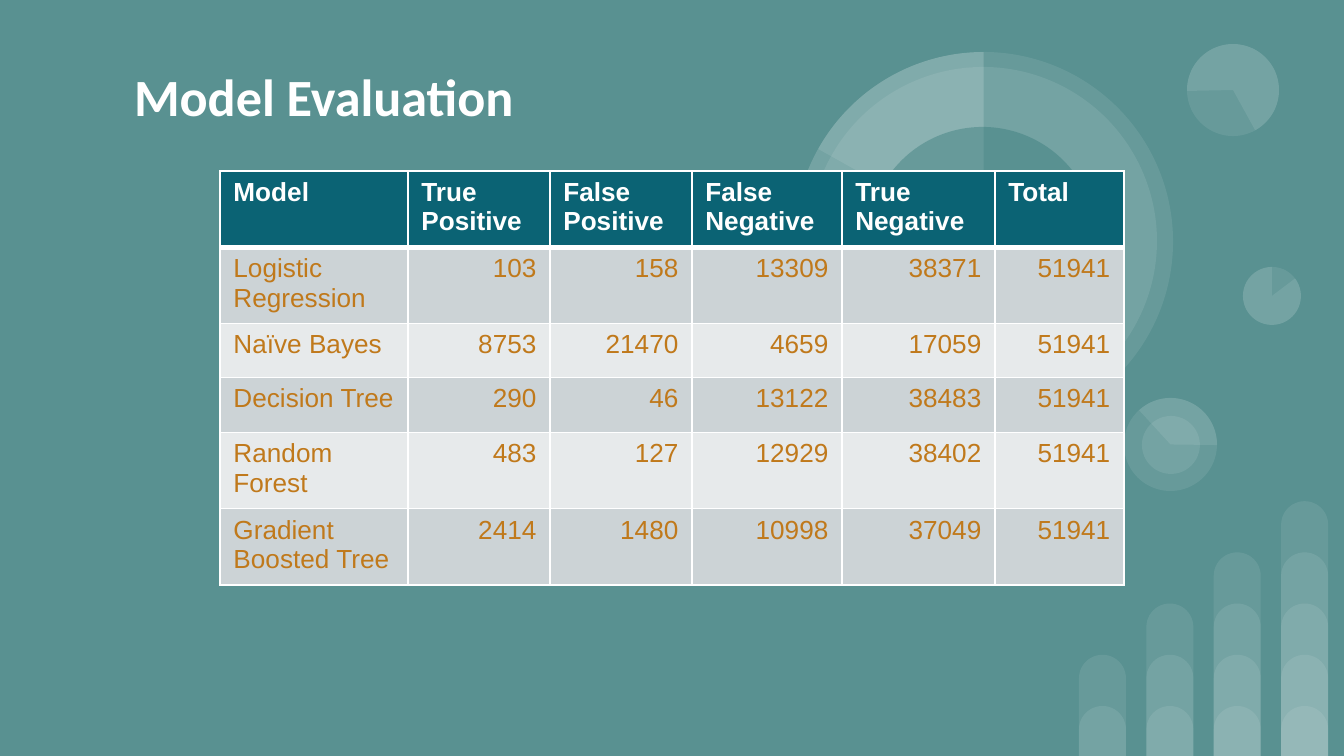
from dataclasses import dataclass

from lxml.etree import SubElement
from pptx import Presentation
from pptx.dml.color import RGBColor
from pptx.enum.shapes import MSO_SHAPE as Preset
from pptx.enum.text import MSO_ANCHOR as Anchor, PP_ALIGN as Align
from pptx.oxml.ns import qn
from pptx.util import Emu, Pt


@dataclass(frozen=True)
class Theme:
    background: str = "599191"
    white: str = "FFFFFF"
    header: str = "0B6374"
    bands: tuple = ("CCD3D6", "E7EAEB")
    body: str = "C0791B"
    title_font: str = "Calibri"
    table_font: str = "Arial"
    title_size: int = 28
    table_size: int = 14
    veil: int = 9


THEME = Theme()
WIDTH, HEIGHT = 1344, 756

TITLE = "Model Evaluation"
TITLE_BOX = (121, 43, 1140, 106)
TITLE_INSET = 13

ROWS = [
    ("Model", "True Positive", "False Positive", "False Negative", "True Negative", "Total"),
    ("Logistic Regression", "103", "158", "13309", "38371", "51941"),
    ("Naïve Bayes", "8753", "21470", "4659", "17059", "51941"),
    ("Decision Tree", "290", "46", "13122", "38483", "51941"),
    ("Random Forest", "483", "127", "12929", "38402", "51941"),
    ("Gradient Boosted Tree", "2414", "1480", "10998", "37049", "51941"),
]
TABLE_LEFT, TABLE_TOP = 220, 171
COLUMN_WIDTHS = (188, 142, 142, 150, 153, 129)
ROW_HEIGHTS = (72, 73, 54, 55, 72, 72)

BAR_COUNT, BAR_LEFT, BAR_WIDTH, BAR_PITCH = 4, 1079, 47, 67.4
BAR_TOP, BAR_STEP = 706, 51.2

SMALL_DIAL = (1243, 267, 58)
MIDDLE_DIAL = (1124, 398, 93)
MIDDLE_CORE = (1142, 416, 58)
TOP_DIAL = (1187, 44, 92)
RING = (794, 52, 379)
RING_BAND = (809, 67, 348)
RING_HOLE = (868, 127, 229)

DISCS = [SMALL_DIAL, MIDDLE_DIAL, MIDDLE_CORE, TOP_DIAL, RING, RING_BAND]
SECTORS = [
    (MIDDLE_DIAL, 137.41, 270.77, 90),
    (SMALL_DIAL, 322.95, 270, 0),
    (TOP_DIAL, 322.95, 205.23, 215.9),
    (RING, 146.69, 270, 0),
    (RING, 209.24, 270, 0),
]


def px(length):
    return Emu(round(length * 914400 / 134.4))


def color(value):
    return RGBColor.from_string(value)


def write(frame, text, *, font, size, fill, bold=False, align=Align.LEFT):
    frame.word_wrap = True
    paragraph = frame.paragraphs[0]
    paragraph.alignment = align
    run = paragraph.add_run()
    run.text = text
    run.font.name = font
    run.font.size = Pt(size)
    run.font.bold = bold
    run.font.color.rgb = color(fill)


def add_shape(slide, preset, box, fill, opacity=100):
    shape = slide.shapes.add_shape(preset, *map(px, box))
    shape.shadow.inherit = False
    shape.line.fill.background()
    shape.fill.solid()
    shape.fill.fore_color.rgb = color(fill)
    if opacity < 100:
        tint = shape._element.spPr.find(".//" + qn("a:srgbClr"))
        SubElement(tint, qn("a:alpha"), val=str(opacity * 1000))
    return shape


def add_veil(slide, preset, box):
    return add_shape(slide, preset, box, THEME.white, THEME.veil)


def square(left, top, size):
    return left, top, size, size


def add_bars(slide):
    for column in range(BAR_COUNT):
        for level in range(column + 2):
            top = BAR_TOP - level * BAR_STEP
            box = (BAR_LEFT + column * BAR_PITCH, top, BAR_WIDTH, HEIGHT - top)
            bar = add_veil(slide, Preset.ROUND_2_SAME_RECTANGLE, box)
            bar.adjustments[0] = 0.5
            bar.adjustments[1] = 0


def add_dials(slide):
    for disc in DISCS:
        add_veil(slide, Preset.OVAL, square(*disc))
    *slices, top_slice = SECTORS
    for sector in slices:
        add_sector(slide, *sector)
    add_shape(slide, Preset.OVAL, square(*RING_HOLE), THEME.background)
    add_sector(slide, *top_slice)


def add_sector(slide, disc, start, end, rotation):
    sector = add_veil(slide, Preset.PIE, square(*disc))
    sector.adjustments[0] = start * 0.6
    sector.adjustments[1] = end * 0.6
    sector.rotation = rotation


def add_title(slide):
    frame = slide.shapes.add_textbox(*map(px, TITLE_BOX)).text_frame
    frame.vertical_anchor = Anchor.MIDDLE
    frame.margin_left = frame.margin_right = px(TITLE_INSET)
    frame.margin_top = frame.margin_bottom = px(TITLE_INSET)
    write(frame, TITLE, font=THEME.title_font, size=THEME.title_size,
          fill=THEME.white, bold=True)


def add_borders(cell, top, bottom):
    properties = cell._tc.get_or_add_tcPr()
    for side, width in (("L", 1), ("R", 1), ("T", top), ("B", bottom)):
        line = SubElement(properties, qn(f"a:ln{side}"), w=str(Pt(width)))
        fill = SubElement(line, qn("a:solidFill"))
        SubElement(fill, qn("a:srgbClr"), val=THEME.white)


def add_results(slide):
    box = (TABLE_LEFT, TABLE_TOP, sum(COLUMN_WIDTHS), sum(ROW_HEIGHTS))
    table = slide.shapes.add_table(len(ROWS), len(COLUMN_WIDTHS), *map(px, box)).table
    for column, width in zip(table.columns, COLUMN_WIDTHS):
        column.width = px(width)
    for row, height in zip(table.rows, ROW_HEIGHTS):
        row.height = px(height)
    for r, values in enumerate(ROWS):
        is_header = r == 0
        for c, text in enumerate(values):
            cell = table.cell(r, c)
            add_borders(cell, top=3 if r == 1 else 1, bottom=3 if is_header else 1)
            cell.fill.solid()
            cell.fill.fore_color.rgb = color(THEME.header if is_header else THEME.bands[(r - 1) % 2])
            write(cell.text_frame, text, font=THEME.table_font, size=THEME.table_size,
                  fill=THEME.white if is_header else THEME.body, bold=is_header,
                  align=Align.LEFT if is_header or c == 0 else Align.RIGHT)


def main():
    presentation = Presentation()
    presentation.slide_width, presentation.slide_height = px(WIDTH), px(HEIGHT)
    slide = presentation.slides.add_slide(presentation.slide_layouts[6])
    slide.background.fill.solid()
    slide.background.fill.fore_color.rgb = color(THEME.background)
    add_bars(slide)
    add_dials(slide)
    add_title(slide)
    add_results(slide)
    presentation.save("out.pptx")


if __name__ == "__main__":
    main()
